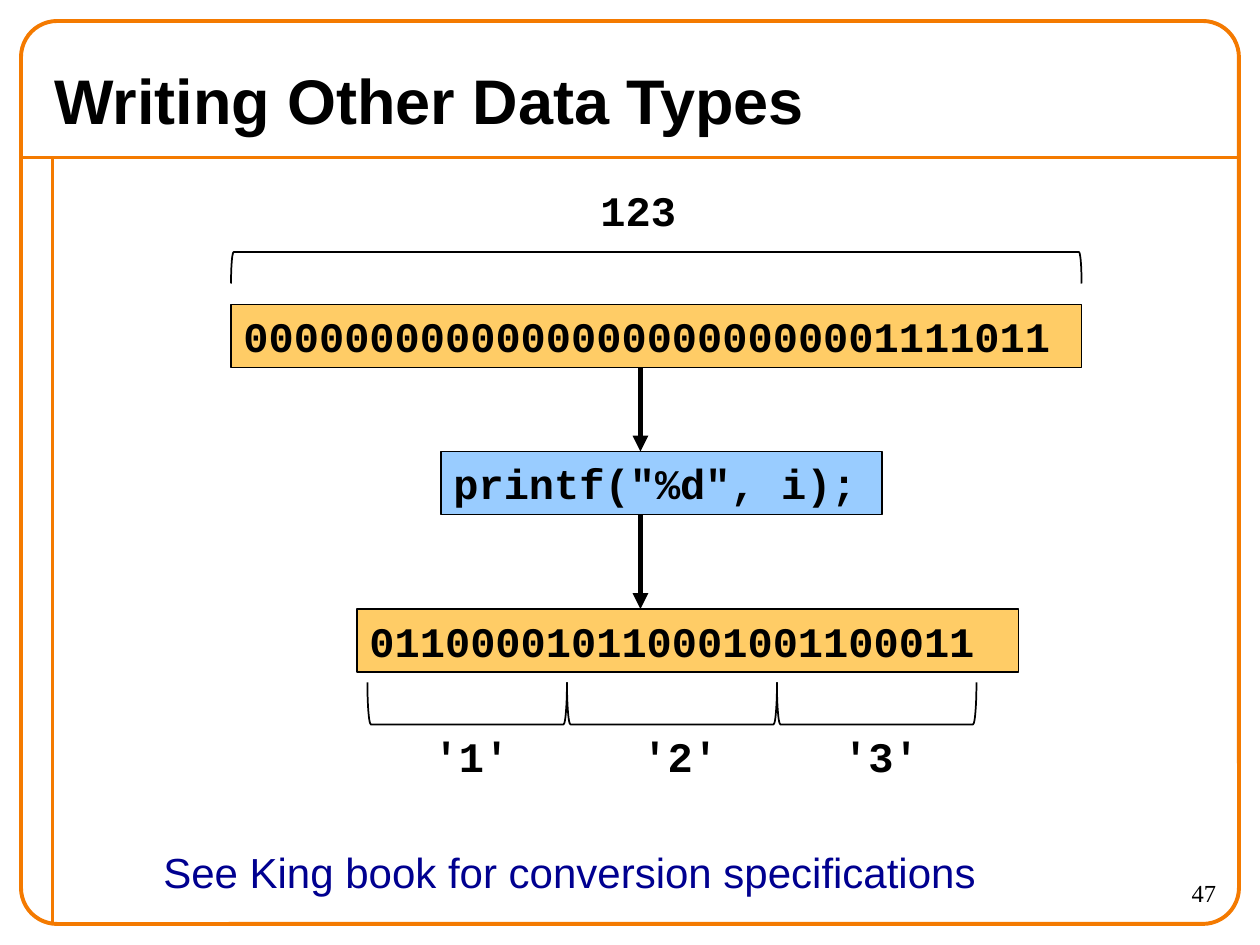
"""Build a slide showing how printf turns a binary integer into characters."""
import dataclasses

import lxml.etree
import pptx
import pptx.dml.color
import pptx.enum.shapes
import pptx.enum.text
import pptx.oxml.ns
import pptx.util

EMU_PER_PX = 9525
ORANGE, BLACK, NAVY = "F47A00", "000000", "000090"
AMBER, SKY = "FFCC66", "99CCFF"
CODE_FONT = "Courier New"
SHAPES = pptx.enum.shapes.MSO_SHAPE
ANCHOR = pptx.enum.text.MSO_ANCHOR
ALIGN = pptx.enum.text.PP_ALIGN


@dataclasses.dataclass(frozen=True)
class Area:
    left: int
    top: int
    width: int
    height: int

    def emu(self) -> list[int]:
        return [px(value) for value in dataclasses.astuple(self)]


@dataclasses.dataclass(frozen=True)
class Style:
    font: str = CODE_FONT
    size: int = 24
    bold: bool = True
    color: str = BLACK
    align: ALIGN = ALIGN.LEFT
    anchor: ANCHOR = ANCHOR.TOP
    wrap: bool = False


@dataclasses.dataclass(frozen=True)
class CodeBox:
    text: str
    area: Area
    fill: str


@dataclasses.dataclass(frozen=True)
class Digit:
    text: str
    label_left: int
    bracket_left: int
    bracket_width: int


CODE = Style()
TITLE = Style("Arial", 36, anchor=ANCHOR.MIDDLE, wrap=True)
NUMBER = Style("Times New Roman", 14, False, align=ALIGN.RIGHT, wrap=True)
NOTE = Style("Arial", bold=False, color=NAVY)

CODE_BOXES = [
    CodeBox("00000000000000000000000001111011", Area(176, 232, 648, 48), AMBER),
    CodeBox('printf("%d", i);', Area(336, 344, 336, 48), SKY),
    CodeBox("011000010110001001100011", Area(272, 464, 504, 48), AMBER),
]
DIGITS = [
    Digit("'1'", 321, 280, 152),
    Digit("'2'", 480, 432, 160),
    Digit("'3'", 633, 592, 152),
]


def px(value: float) -> int:
    return round(value * EMU_PER_PX)


def rgb(value: str) -> pptx.dml.color.RGBColor:
    return pptx.dml.color.RGBColor.from_string(value)


def set_line(line, color: str, width: float) -> None:
    line.color.rgb = rgb(color)
    line.width = pptx.util.Pt(width)


def write(shape, text: str, style: Style) -> None:
    frame = shape.text_frame
    frame.word_wrap = style.wrap
    frame.vertical_anchor = style.anchor
    paragraph = frame.paragraphs[0]
    paragraph.text = text
    paragraph.alignment = style.align
    paragraph.font.name = style.font
    paragraph.font.size = pptx.util.Pt(style.size)
    paragraph.font.bold = style.bold
    paragraph.font.color.rgb = rgb(style.color)


def add_text(slide, text: str, area: Area, style: Style) -> None:
    write(slide.shapes.add_textbox(*area.emu()), text, style)


def add_outline(slide, kind, area: Area, color: str, width: float):
    shape = slide.shapes.add_shape(kind, *area.emu())
    shape.shadow.inherit = False
    shape.fill.background()
    set_line(shape.line, color, width)
    return shape


def add_code_box(slide, box: CodeBox) -> None:
    shape = add_outline(slide, SHAPES.RECTANGLE, box.area, BLACK, 0.75)
    shape.fill.solid()
    shape.fill.fore_color.rgb = rgb(box.fill)
    write(shape, box.text, CODE)


def add_bracket(slide, area: Area, rotation: int) -> None:
    """Draw a left bracket turned by a quarter so that it covers the area."""
    shift = (area.width - area.height) / 2
    upright = Area(area.left + shift, area.top - shift, area.height, area.width)
    shape = add_outline(slide, SHAPES.LEFT_BRACKET, upright, BLACK, 1)
    shape.rotation = rotation


def add_line(slide, start: tuple[int, int], end: tuple[int, int],
             color: str, width: float, arrow: bool = False) -> None:
    connector = slide.shapes.add_connector(
        pptx.enum.shapes.MSO_CONNECTOR.STRAIGHT,
        *[px(value) for value in start + end])
    set_line(connector.line, color, width)
    if arrow:
        lxml.etree.SubElement(connector.line._get_or_add_ln(),
                              pptx.oxml.ns.qn("a:tailEnd"), type="triangle")
    lxml.etree.SubElement(connector._element.spPr,
                          pptx.oxml.ns.qn("a:effectLst"))


def add_frame(slide) -> None:
    add_line(slide, (16, 120), (944, 120), ORANGE, 2.25)
    add_line(slide, (40, 120), (40, 704), ORANGE, 2.25)
    border = add_outline(slide, SHAPES.ROUNDED_RECTANGLE,
                         Area(16, 16, 928, 688), ORANGE, 2.25)
    border.adjustments[0] = 0.04
    add_text(slide, "Writing Other Data Types", Area(32, 40, 896, 72), TITLE)
    add_text(slide, "47", Area(840, 664, 96, 40), NUMBER)


def add_diagram(slide) -> None:
    for box in CODE_BOXES:
        add_code_box(slide, box)
    for upper, lower in zip(CODE_BOXES, CODE_BOXES[1:]):
        bottom = upper.area.top + upper.area.height
        add_line(slide, (488, bottom), (488, lower.area.top), BLACK, 3, True)
    add_bracket(slide, Area(176, 192, 648, 24), 90)
    add_text(slide, "123", Area(448, 136, 77, 48), CODE)
    for digit in DIGITS:
        add_bracket(slide, Area(digit.bracket_left, 520,
                                digit.bracket_width, 32), 270)
        add_text(slide, digit.text, Area(digit.label_left, 552, 77, 48), CODE)
    add_text(slide, "See King book for conversion specifications",
             Area(115, 640, 638, 48), NOTE)


def main() -> None:
    presentation = pptx.Presentation()
    presentation.slide_width, presentation.slide_height = px(960), px(720)
    slide = presentation.slides.add_slide(presentation.slide_layouts[6])
    add_frame(slide)
    add_diagram(slide)
    presentation.save("out.pptx")


if __name__ == "__main__":
    main()
